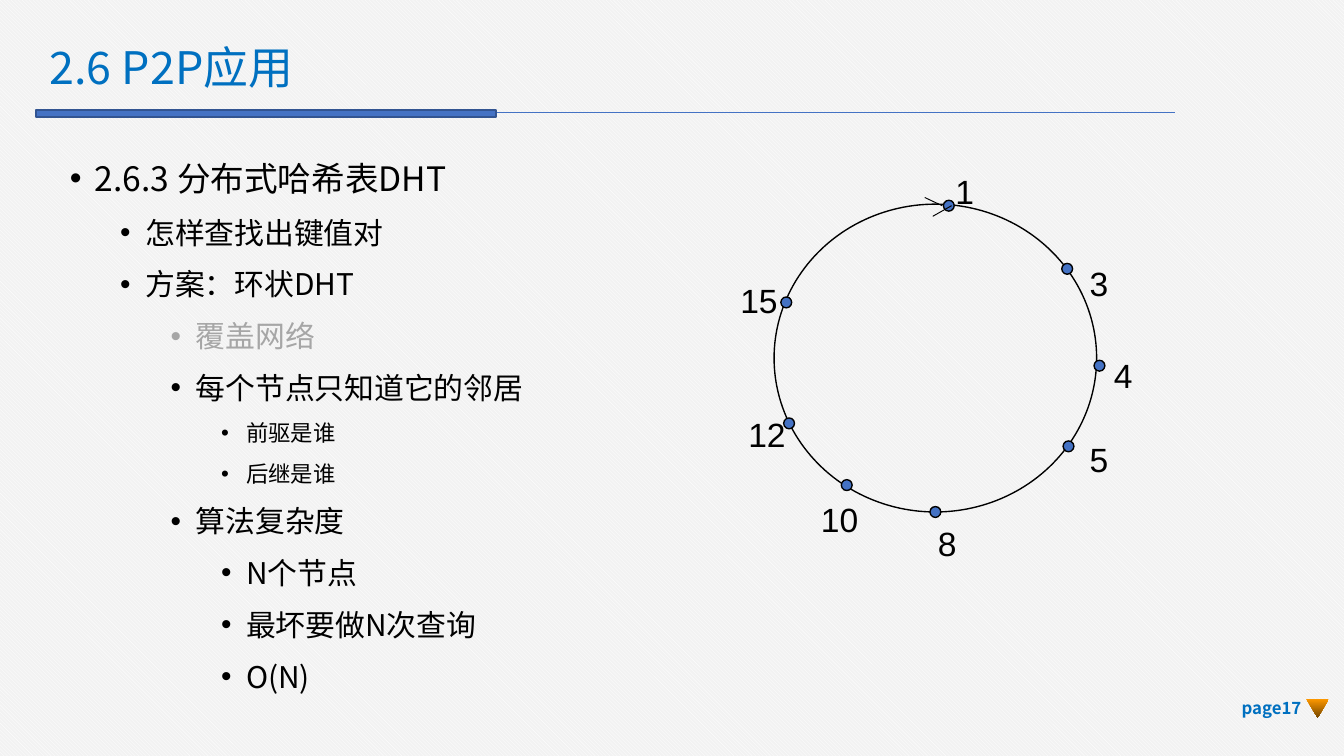
from dataclasses import dataclass

from lxml import etree
from pptx import Presentation
from pptx.dml.color import RGBColor
from pptx.enum import dml, shapes, text
from pptx.oxml import ns, parse_xml
from pptx.util import Pt


@dataclass(frozen=True)
class Theme:
    blue: RGBColor = RGBColor(0x00, 0x70, 0xC0)
    accent: RGBColor = RGBColor(0x44, 0x72, 0xC4)
    accent_edge: RGBColor = RGBColor(0x32, 0x54, 0x91)
    ink: RGBColor = RGBColor(0, 0, 0)
    faded: RGBColor = RGBColor(0xA6, 0xA6, 0xA6)
    white: RGBColor = RGBColor(255, 255, 255)
    paper: RGBColor = RGBColor(0xF2, 0xF2, 0xF2)
    orange: RGBColor = RGBColor(0xFF, 0x99, 0x00)
    brown: RGBColor = RGBColor(0x76, 0x47, 0x00)
    cjk: str = "Noto Sans CJK SC"
    latin: str = "Arial"
    title: int = 24
    topic: int = 18
    point: int = 16
    detail: int = 12
    footer: int = 9


theme = Theme()
SHADOW = (
    f'<a:effectLst {ns.nsdecls("a")}><a:outerShdw blurRad="38100" dist="38100" '
    'dir="2700000" algn="tl"><a:srgbClr val="000000"><a:alpha val="43000"/>'
    '</a:srgbClr></a:outerShdw></a:effectLst>'
)


def style(paragraph, size, color, face=theme.cjk, shadow=False):
    for run in paragraph.runs:
        run.font.size = Pt(size)
        run.font.color.rgb = color
        run.font.name = face
        properties = run.font._element
        latin = properties.find(ns.qn("a:latin"))
        east_asian = etree.Element(ns.qn("a:ea"), typeface=face)
        latin.addnext(east_asian)
        if shadow:
            latin.addprevious(parse_xml(SHADOW))


def draw_line(x1, y1, x2, y2, color):
    line = slide.shapes.add_connector(
        shapes.MSO_CONNECTOR.STRAIGHT, Pt(x1), Pt(y1), Pt(x2), Pt(y2))
    line.line.color.rgb = color
    line.line.width = Pt(0.5)
    etree.SubElement(line._element.spPr, ns.qn("a:effectLst"))


prs = Presentation()
prs.slide_width, prs.slide_height = Pt(720), Pt(405)
slide = prs.slides.add_slide(prs.slide_layouts[1])
paper = slide.background.fill
paper.patterned()
paper.pattern = dml.MSO_PATTERN.DARK_DOWNWARD_DIAGONAL
paper.fore_color.rgb = theme.white
paper.back_color.rgb = theme.paper

draw_line(629.3, 60.5, 19.4, 60.5, theme.accent)
title_bar = slide.shapes.add_shape(
    shapes.MSO_SHAPE.RECTANGLE, Pt(19.4), Pt(59), Pt(246.2), Pt(3.6))
title_bar.shadow.inherit = False
title_bar.fill.solid()
title_bar.fill.fore_color.rgb = theme.accent
title_bar.line.color.rgb = theme.accent_edge
title_bar.line.width = Pt(1)

title = slide.shapes.title
title.left, title.top, title.width, title.height = Pt(19.4), Pt(21.6), Pt(306.7), Pt(31.7)
title.text_frame.text = "2.6 P2P应用"
title.text_frame.auto_size = text.MSO_AUTO_SIZE.NONE
title.text_frame.vertical_anchor = text.MSO_ANCHOR.MIDDLE
heading = title.text_frame.paragraphs[0]
heading.alignment = text.PP_ALIGN.LEFT
heading.line_spacing = 0.9
style(heading, theme.title, theme.blue, shadow=True)

outline = [
    (0, "2.6.3 分布式哈希表DHT", theme.topic, theme.ink),
    (1, "怎样查找出键值对", theme.point, theme.ink),
    (1, "方案：环状DHT", theme.point, theme.ink),
    (2, "覆盖网络", theme.point, theme.faded),
    (2, "每个节点只知道它的邻居", theme.point, theme.ink),
    (3, "前驱是谁", theme.detail, theme.ink),
    (3, "后继是谁", theme.detail, theme.ink),
    (2, "算法复杂度", theme.point, theme.ink),
    (3, "N个节点", theme.point, theme.ink),
    (3, "最坏要做N次查询", theme.point, theme.ink),
    (3, "O(N)", theme.point, theme.ink),
]
body = slide.placeholders[1]
body.left, body.top, body.width, body.height = Pt(30.2), Pt(75.6), Pt(481), Pt(308.2)
body.text_frame.text = "\n".join(entry[1] for entry in outline)
body.text_frame.auto_size = text.MSO_AUTO_SIZE.NONE
for paragraph, (level, _, size, color) in zip(body.text_frame.paragraphs, outline):
    paragraph.level = level
    paragraph.line_spacing = 1.25
    paragraph.space_before = Pt(3.8 if level else 0)
    layout = paragraph._p.get_or_add_pPr()
    layout.set("marL", str(Pt(13.5 + 27 * level)))
    layout.set("indent", str(Pt(-13.5)))
    etree.SubElement(layout, ns.qn("a:buFont"), typeface=theme.latin)
    etree.SubElement(layout, ns.qn("a:buChar"), char="•")
    style(paragraph, size, color, shadow=True)

ring = slide.shapes.add_shape(
    shapes.MSO_SHAPE.OVAL, Pt(414.7), Pt(109.4), Pt(172.8), Pt(164.9))
ring.shadow.inherit = False
ring.fill.background()
ring.line.color.rgb = theme.ink
ring.line.width = Pt(0.75)

peers = [
    ("1", 505.4, 107.3, 504.7, 87.8),
    ("3", 568.8, 141.1, 576.7, 137.5),
    ("4", 586.1, 193, 589.7, 186.5),
    ("5", 569.5, 236.2, 576.7, 231.8),
    ("8", 498.2, 271.4, 495.4, 276.5),
    ("10", 450.7, 257, 432.7, 263.5),
    ("12", 419.8, 223.9, 393.8, 218.2),
    ("15", 418.3, 159.1, 389.5, 146.2),
]
for key, x, y, label_x, label_y in peers:
    peer = slide.shapes.add_shape(shapes.MSO_SHAPE.OVAL, Pt(x), Pt(y), Pt(5.8), Pt(5.8))
    peer.shadow.inherit = False
    peer.fill.solid()
    peer.fill.fore_color.rgb = theme.accent
    peer.line.color.rgb = theme.ink
    peer.line.width = Pt(0.75)
    label = slide.shapes.add_textbox(
        Pt(label_x), Pt(label_y), Pt(14.4 + 10.1 * len(key)), Pt(28.8))
    label.text_frame.text = key
    label.text_frame.word_wrap = False
    label.text_frame.auto_size = text.MSO_AUTO_SIZE.SHAPE_TO_FIT_TEXT
    style(label.text_frame.paragraphs[0], theme.topic, theme.ink, theme.latin)

draw_line(495.4, 105.8, 504.7, 110.2, theme.ink)
draw_line(509.8, 110.2, 499.7, 115.9, theme.ink)

page = slide.shapes.add_textbox(Pt(654.5), Pt(368.6), Pt(49.7), Pt(21.6))
page.text_frame.text = "page17"
page.text_frame.word_wrap = True
page.text_frame.vertical_anchor = text.MSO_ANCHOR.MIDDLE
page_number = page.text_frame.paragraphs[0]
page_number.alignment = text.PP_ALIGN.RIGHT
style(page_number, theme.footer, theme.blue)
page_number.runs[0].font.bold = True

marker = slide.shapes.add_shape(
    shapes.MSO_SHAPE.FLOWCHART_MERGE, Pt(699.8), Pt(374.4), Pt(12.2), Pt(10.1))
marker.shadow.inherit = False
marker.line.fill.background()
marker.fill.gradient()
marker.fill.gradient_angle = 270
for stop, position, color in zip(
        marker.fill.gradient_stops, (0, 1), (theme.orange, theme.brown)):
    stop.position = position
    stop.color.rgb = color

prs.save("out.pptx")
